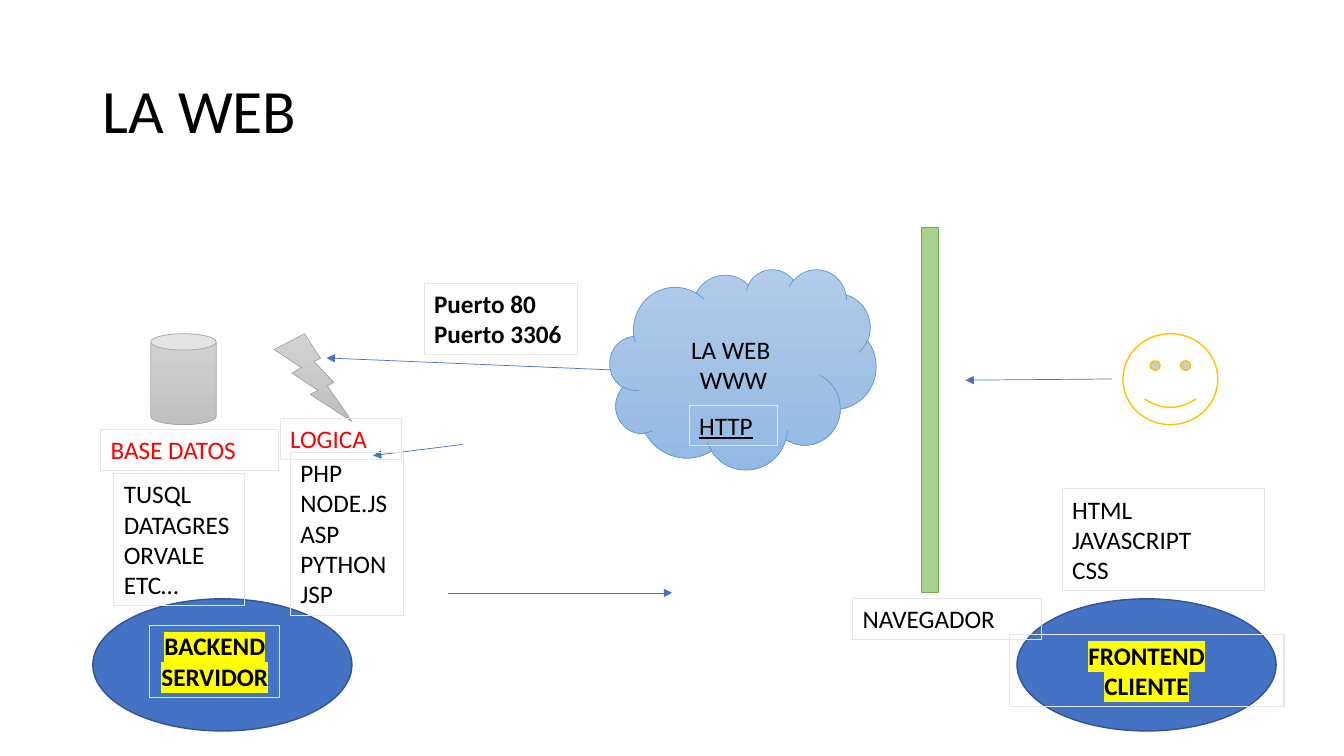
from dataclasses import dataclass

from lxml import etree
from pptx import Presentation
from pptx import util as u
from pptx.dml.color import RGBColor
from pptx.enum import shapes, text
from pptx.oxml.ns import qn


@dataclass(frozen=True)
class Theme:
    font: str = "Calibri"
    title: int = 44
    body: int = 18
    ink: str = "000000"
    red: str = "FF0000"
    mark: str = "FFFF00"
    border: str = "E7E6E6"
    blue: str = "4472C4"
    navy: str = "325491"
    sky: tuple = ("B1CBE9", "93B9E4")
    sky_line: str = "5B9BD5"
    grey: tuple = ("D2D2D2", "C0C0C0")
    grey_line: str = "A5A5A5"
    gold: str = "FFC000"
    white: str = "FFFFFF"
    leaf: str = "A9D18E"
    leaf_line: str = "70AD47"


T = Theme()
KIND = shapes.MSO_SHAPE
LEFT, CENTER = text.PP_ALIGN.LEFT, text.PP_ALIGN.CENTER


def set_all(obj, values):
    for name, value in values.items():
        setattr(obj, name, value)


def set_line(line, color, width):
    line.color.rgb = RGBColor.from_string(color)
    line.width = u.Pt(width)


def set_fill(fill, color):
    if isinstance(color, str):
        fill.solid()
        fill.fore_color.rgb = RGBColor.from_string(color)
        return
    fill.gradient()
    fill.gradient_angle = 270
    for stop, stop_color in zip(fill.gradient_stops, color):
        stop.color.rgb = RGBColor.from_string(stop_color)


def write(tf, lines, align=LEFT, color=T.ink, size=T.body, mark=None,
          spacing=None, **style):
    for i, line in enumerate(lines):
        p = tf.paragraphs[0] if i == 0 else tf.add_paragraph()
        set_all(p, {"alignment": align, "line_spacing": spacing})
        r = p.add_run()
        r.text = line
        r.font.color.rgb = RGBColor.from_string(color)
        if mark:
            highlight = etree.SubElement(r.font._element, qn("a:highlight"))
            etree.SubElement(highlight, qn("a:srgbClr"), val=mark)
        set_all(r.font, {"name": T.font, "size": u.Pt(size), **style})


def add_figure(s, kind, at, fill, line, width=1):
    sp = s.shapes.add_shape(kind, *map(u.Cm, at))
    sp.shadow.inherit = False
    set_fill(sp.fill, fill)
    set_line(sp.line, line, width)
    return sp


def add_label(s, at, lines, wrap=False, **style):
    sp = s.shapes.add_textbox(*map(u.Cm, at))
    set_line(sp.line, T.border, 0.75)
    tf = sp.text_frame
    set_all(tf, {"word_wrap": wrap,
                 "auto_size": text.MSO_AUTO_SIZE.SHAPE_TO_FIT_TEXT})
    write(tf, lines, **style)


def add_title(s, at, title):
    tf = s.shapes.add_textbox(*map(u.Cm, at)).text_frame
    set_all(tf, {"word_wrap": True,
                 "vertical_anchor": text.MSO_ANCHOR.MIDDLE})
    write(tf, [title], size=T.title, spacing=0.9)


def add_arrow(s, *ends):
    cx = s.shapes.add_connector(shapes.MSO_CONNECTOR.STRAIGHT, *map(u.Cm, ends))
    set_line(cx.line, T.blue, 0.5)
    etree.SubElement(cx.line._get_or_add_ln(), qn("a:tailEnd"), type="triangle")
    etree.SubElement(cx._element.spPr, qn("a:effectLst"))


def main():
    prs = Presentation()
    set_all(prs, {"slide_width": u.Cm(33.87), "slide_height": u.Cm(19.05)})
    s = prs.slides.add_slide(prs.slide_layouts[6])

    for left in (2.34, 25.63):
        add_figure(s, KIND.OVAL, (left, 15.09, 6.53, 3.33), T.blue, T.navy)
    add_title(s, (2.34, 1.02, 29.21, 3.68), "LA WEB")

    cloud = add_figure(s, KIND.CLOUD, (15.37, 6.78, 6.71, 5.05),
                       T.sky, T.sky_line, 0.5)
    cloud.text_frame.vertical_anchor = text.MSO_ANCHOR.MIDDLE
    write(cloud.text_frame, ["LA WEB ", "WWW"], CENTER)
    add_figure(s, KIND.CAN, (3.8, 8.41, 1.65, 2.29), T.grey, T.grey_line, 0.5)
    add_figure(s, KIND.SMILEY_FACE, (28.3, 8.41, 2.39, 2.29), T.white, T.gold)
    add_figure(s, KIND.LIGHTNING_BOLT, (6.91, 8.41, 1.96, 2.21),
               T.grey, T.grey_line, 0.5)
    add_figure(s, KIND.RECTANGLE, (23.22, 5.74, 0.43, 9.19),
               T.leaf, T.leaf_line)

    role = {"align": CENTER, "mark": T.mark, "bold": True}
    add_label(s, (25.43, 16, 6.93, 1.8), ["FRONTEND", "CLIENTE"], True, **role)
    add_label(s, (3.78, 15.77, 3.27, 1.8), ["BACKEND", "SERVIDOR"], **role)

    for ends in ((28.02, 9.55, 24.33, 9.58), (15.39, 9.32, 8.23, 9.02),
                 (11.66, 11.2, 9.4, 11.48), (11.28, 14.94, 16.94, 14.94)):
        add_arrow(s, *ends)

    add_label(s, (21.49, 15.09, 4.75, 1.03), ["NAVEGADOR"])
    add_label(s, (2.54, 10.82, 4.47, 1.03), ["BASE DATOS"], color=T.red)
    add_label(s, (7.06, 10.54, 3.07, 1.03), ["LOGICA"], color=T.red)
    add_label(s, (10.69, 7.14, 3.86, 1.8), ["Puerto 80", "Puerto 3306"],
              bold=True)
    add_label(s, (7.32, 11.4, 2.85, 4.11),
              ["PHP", "NODE.JS", "ASP", "PYTHON", "JSP"])
    add_label(s, (26.77, 12.32, 5.11, 2.57), ["HTML", "JAVASCRIPT", "CSS"], True)
    add_label(s, (17.37, 10.21, 2.23, 1.03), ["HTTP"], underline=True)
    add_label(s, (2.87, 11.94, 3.3, 3.33),
              ["TUSQL", "DATAGRES", "ORVALE", "ETC…"])

    prs.save("out.pptx")


main()
